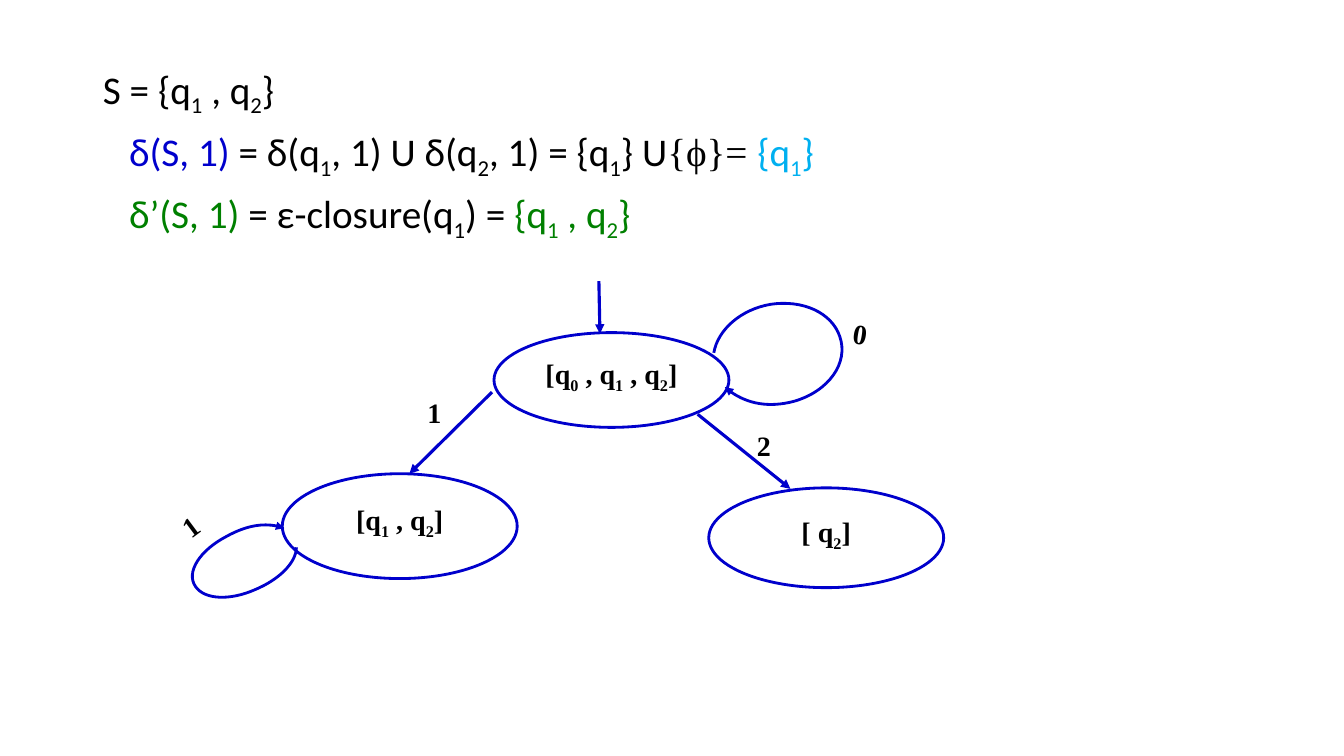
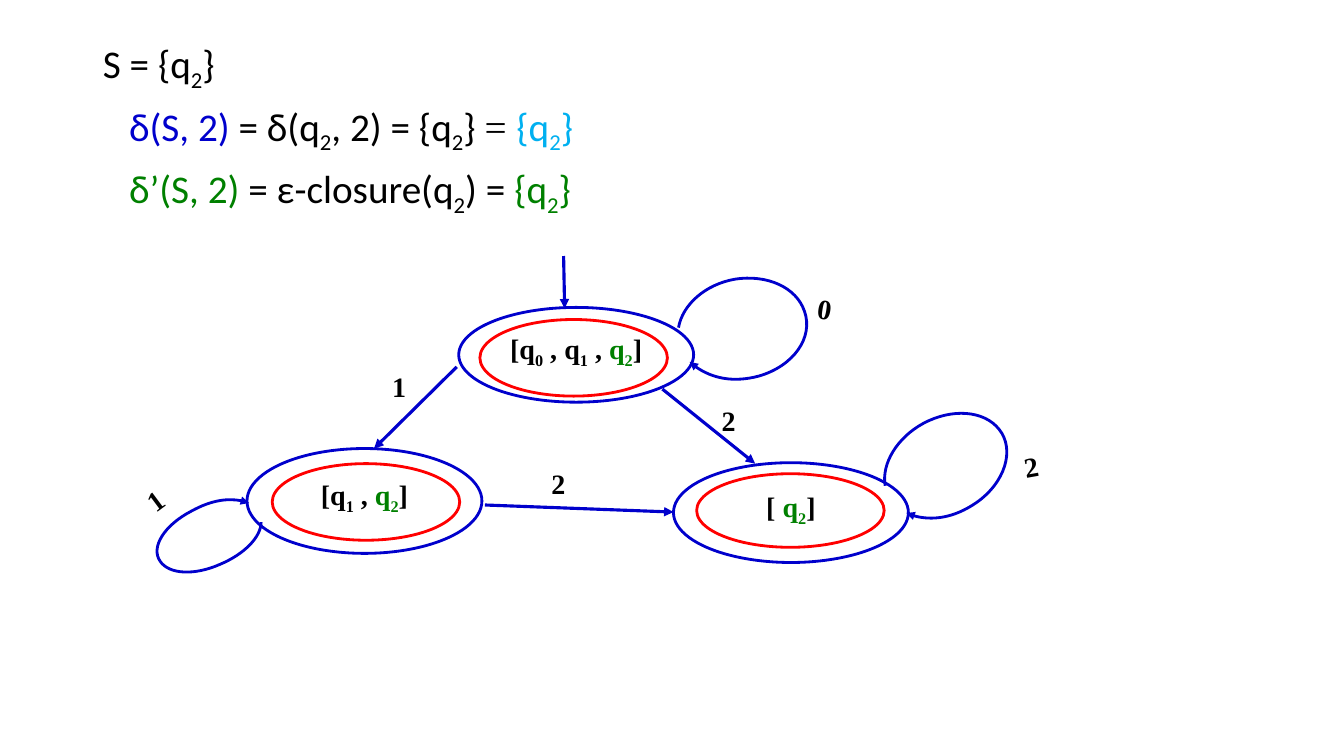
import pptx
import pptx.dml.color
import pptx.enum.shapes
import pptx.enum.text
import pptx.oxml.ns
import pptx.util
from lxml import etree

RGB = pptx.dml.color.RGBColor
BLACK = RGB(0x00, 0x00, 0x00)
BLUE = RGB(0x00, 0x00, 0xCC)
GREEN = RGB(0x00, 0x80, 0x00)
SKY = RGB(0x00, 0xB0, 0xF0)
RED = RGB(0xFF, 0x00, 0x00)
SANS, SERIF = "Calibri", "Times New Roman"
Pt, qn = pptx.util.Pt, pptx.oxml.ns.qn
OVAL = pptx.enum.shapes.MSO_SHAPE.OVAL
STRAIGHT = pptx.enum.shapes.MSO_CONNECTOR.STRAIGHT

deck = pptx.Presentation()
deck.slide_width = pptx.util.Inches(13.33)
deck.slide_height = pptx.util.Inches(7.5)
COL = deck.slide_width / 13.33
ROW = deck.slide_height / 7.5


def write(para, text, color, font, size, bold=False):
    """Add runs to para; the character after each underscore is a subscript."""
    first, *rest = text.split("_")
    pieces = [(first, False)]
    for part in rest:
        pieces += [(part[0], True), (part[1:], False)]
    for piece, sub in pieces:
        if not piece:
            continue
        run = para.add_run()
        run.text = piece
        run.font.name, run.font.size, run.font.bold = font, Pt(size), bold
        run.font.color.rgb = color
        if sub:
            run.font._element.set("baseline", "-25000")


def stroke(shape, color, width, arrow=False):
    """Set the outline of a shape or connector, with an arrowhead at its end."""
    shape.line.color.rgb = color
    shape.line.width = Pt(width)
    if arrow:
        line = shape.line._get_or_add_ln()
        etree.SubElement(line, qn("a:tailEnd"), type="triangle")


# Bounds of each state, its label before and inside the accepting q2,
# and the bounds of the accepting ring
STATES = [
    ((4.9, 3.3, 2.33, 0.94), "[q_0 , q_1 , ", (5.11, 3.42, 1.86, 0.76)),
    ((2.8, 4.7, 2.33, 1.04), "[q_1 , ", (3.05, 4.85, 1.86, 0.76)),
    ((7.03, 4.84, 2.33, 0.99), "[ ", (7.26, 4.95, 1.86, 0.73)),
]
EDGES = [
    (5.94, 2.79, 5.95, 3.31),
    (4.88, 3.89, 4.06, 4.7),
    (6.92, 4.11, 7.84, 4.85),
]
# Start point, then three points for each curve
LOOPS = [
    [(7.08, 3.5), (7.12, 3.27), (7.35, 3.07), (7.64, 3.02),
     (7.96, 2.97), (8.25, 3.1), (8.33, 3.34),
     (8.42, 3.6), (8.22, 3.88), (7.88, 3.98),
     (7.62, 4.05), (7.35, 3.99), (7.19, 3.84)],
    [(2.94, 5.43), (2.94, 5.58), (2.77, 5.75), (2.53, 5.85),
     (2.28, 5.96), (2.03, 5.95), (1.94, 5.82),
     (1.84, 5.68), (1.98, 5.46), (2.25, 5.32),
     (2.45, 5.21), (2.68, 5.18), (2.82, 5.24)],
]
MARKS = [
    ("0", 8.37, 3.1, 9),
    ("1", 4.14, 3.87, 0),
    ("2", 7.41, 4.2, 0),
    ("1", 1.69, 5, 323.3),
]
LAST_EDGE = (5.16, 5.26, 7.03, 5.33)
LAST_LOOP = [
    (9.13, 5.07), (9.09, 4.85), (9.25, 4.59), (9.51, 4.45),
    (9.79, 4.3), (10.11, 4.32), (10.26, 4.51),
    (10.42, 4.71), (10.32, 5.04), (10.03, 5.24),
    (9.81, 5.39), (9.53, 5.43), (9.34, 5.34),
]
LAST_MARKS = [("2", 5.72, 4.83, 0), ("2", 10.4, 4.66, 349.9)]

SLIDES = [
    {
        "shift": (0, 0), "final": False,
        "lines": [
            [("S = {q_1 , q_2}", BLACK, SANS)],
            [("δ(S, 1) ", BLUE, SANS),
             ("= δ(q_1, 1) U δ(q_2, 1) = {q_1} U", BLACK, SANS),
             ("{ϕ}= ", BLACK, SERIF), ("{q_1}", SKY, SANS)],
            [("δ’(S, 1) ", GREEN, SANS), ("= ε-closure(q_1) = ", BLACK, SANS),
             ("{q_1 , q_2}", GREEN, SANS)],
        ],
        "edges": EDGES, "loops": LOOPS, "marks": MARKS,
    },
    {
        "shift": (-0.35, -0.25), "final": True,
        "lines": [
            [("S = {q_2}", BLACK, SANS)],
            [("δ(S, 2) ", BLUE, SANS), ("= δ(q_2, 2) = {q_2} ", BLACK, SANS),
             ("= ", BLACK, SERIF), ("{q_2}", SKY, SANS)],
            [("δ’(S, 2) ", GREEN, SANS), ("= ε-closure(q_2) = ", BLACK, SANS),
             ("{q_2}", GREEN, SANS)],
        ],
        "edges": EDGES + [LAST_EDGE],
        "loops": LOOPS + [LAST_LOOP],
        "marks": MARKS + LAST_MARKS,
    },
]

for page in SLIDES:
    slide = deck.slides.add_slide(deck.slide_layouts[1])
    shapes = slide.shapes
    title = shapes.title._element
    title.getparent().remove(title)
    dx, dy = page["shift"]

    # Derivation
    body = slide.placeholders[1]
    body.left, body.top = int(0.92 * COL), int((0.6 + dy) * ROW)
    body.width, body.height = int(11.5 * COL), int((6.15 - dy) * ROW)
    frame = body.text_frame
    for row, bits in enumerate(page["lines"]):
        para = frame.add_paragraph() if row else frame.paragraphs[0]
        props = para._p.get_or_add_pPr()
        props.set("marL", str(int(0.26 * COL) if row else 0))
        props.set("indent", "0")
        etree.SubElement(props, qn("a:buNone"))
        para.line_spacing = 0.9
        para.space_before = Pt(10 if row else 0)
        for text, color, font in bits:
            write(para, text, color, font, 28)

    # States
    for box, label, ring in STATES:
        rims = [(box, BLUE)] + ([(ring, RED)] if page["final"] else [])
        for (x, y, w, h), color in rims:
            oval = shapes.add_shape(OVAL, int((x + dx) * COL), int((y + dy) * ROW),
                                    int(w * COL), int(h * ROW))
            oval.shadow.inherit = False
            oval.fill.background()
            stroke(oval, color, 2)
            if color == BLUE:
                frame = oval.text_frame
                frame.word_wrap = False
                frame.margin_bottom = int(0.13 * ROW)
                para = frame.paragraphs[0]
                para.alignment = pptx.enum.text.PP_ALIGN.CENTER
                tint = GREEN if page["final"] else BLACK
                for text, shade in ((label, BLACK), ("q_2", tint), ("]", BLACK)):
                    write(para, text, shade, SERIF, 20, True)

    # Transitions
    for x1, y1, x2, y2 in page["edges"]:
        edge = shapes.add_connector(STRAIGHT,
                                    int((x1 + dx) * COL), int((y1 + dy) * ROW),
                                    int((x2 + dx) * COL), int((y2 + dy) * ROW))
        stroke(edge, BLUE, 2.25, True)
        etree.SubElement(edge._element.spPr, qn("a:effectLst"))

    for points in page["loops"]:
        start, *rest = [(int((x + dx) * COL), int((y + dy) * ROW)) for x, y in points]
        pen = shapes.build_freeform(*start)
        pen.add_line_segments(rest, close=False)
        loop = pen.convert_to_shape()
        # Each three straight segments become one cubic curve
        legs = list(loop._element.iter(qn("a:lnTo")))
        for at in range(0, len(legs), 3):
            curve = etree.Element(qn("a:cubicBezTo"))
            legs[at].addprevious(curve)
            for leg in legs[at:at + 3]:
                curve.append(leg[0])
                leg.getparent().remove(leg)
        loop.shadow.inherit = False
        loop.fill.background()
        stroke(loop, BLUE, 2, True)

    for text, x, y, turn in page["marks"]:
        mark = shapes.add_textbox(int((x + dx) * COL), int((y + dy) * ROW),
                                  int(0.37 * COL), int(0.35 * ROW))
        mark.rotation = turn
        mark.text_frame.word_wrap = True
        write(mark.text_frame.paragraphs[0], text, BLACK, SERIF, 20, True)

deck.save("out.pptx")
